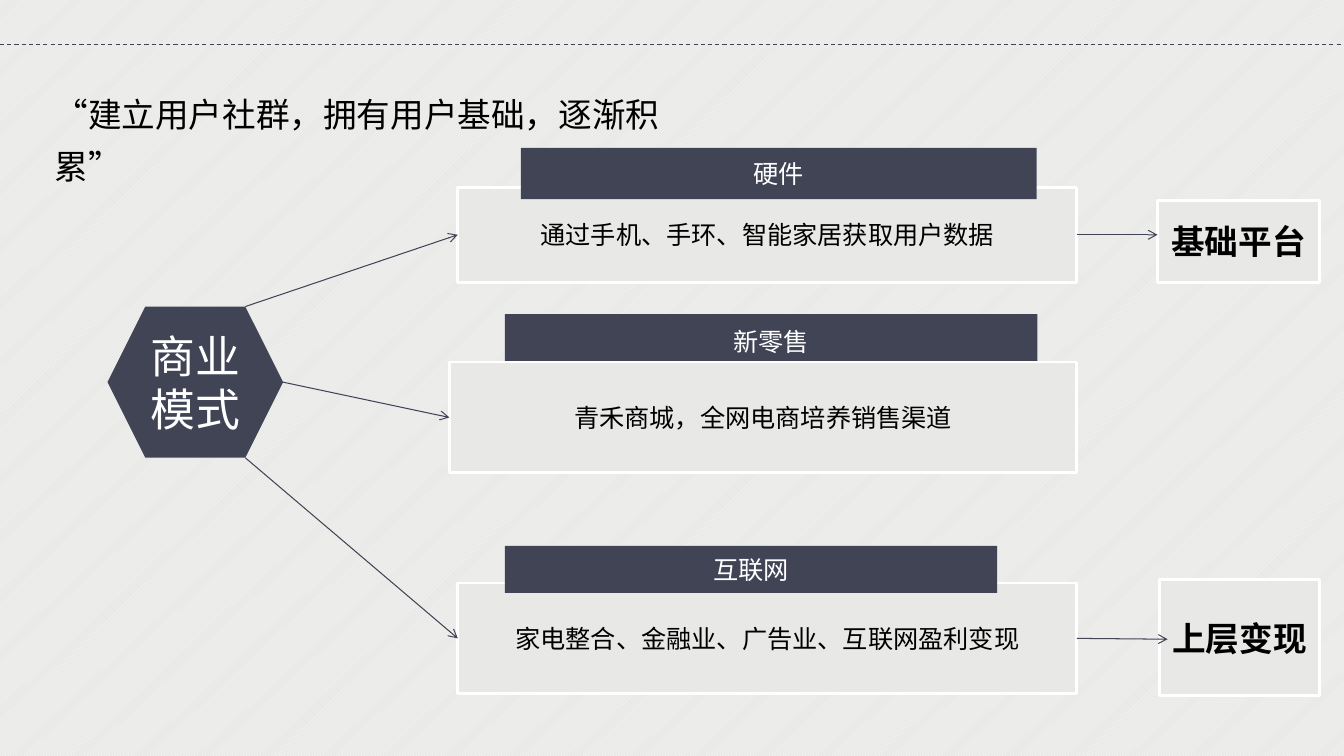
from dataclasses import dataclass

from lxml import etree
from pptx import Presentation
from pptx.dml.color import RGBColor
from pptx.enum.dml import MSO_LINE, MSO_PATTERN
from pptx.enum.shapes import MSO_CONNECTOR, MSO_SHAPE
from pptx.enum.text import MSO_ANCHOR, PP_ALIGN
from pptx.oxml.ns import qn
from pptx.util import Inches, Pt

RECT, HEXAGON = MSO_SHAPE.RECTANGLE, MSO_SHAPE.HEXAGON
STRAIGHT = MSO_CONNECTOR.STRAIGHT
DASH = MSO_LINE.DASH
STRIPES = MSO_PATTERN.LIGHT_UPWARD_DIAGONAL
MIDDLE, CENTER, LEFT = MSO_ANCHOR.MIDDLE, PP_ALIGN.CENTER, PP_ALIGN.LEFT
LEFT_SIDE, RIGHT_SIDE = 1, 3
COLS, ROWS = 160, 90
WIDTH, HEIGHT = Inches(13.33), Inches(7.5)


@dataclass(frozen=True)
class Theme:
    dark: RGBColor = RGBColor(0x41, 0x44, 0x55)
    pale: RGBColor = RGBColor(0xE8, 0xE8, 0xE6)
    white: RGBColor = RGBColor(0xFF, 0xFF, 0xFF)
    black: RGBColor = RGBColor(0, 0, 0)
    latin: str = "Arial"
    hans: str = "Noto Sans CJK SC"
    body: int = 18
    title: int = 24
    hub: int = 32
    edge: float = 2
    thin: float = 0.75


THEME = Theme()


def col(n):
    return round(WIDTH * n / COLS)


def row(n):
    return round(HEIGHT * n / ROWS)


def place(box):
    x, y, w, h = box
    return col(x), row(y), col(w), row(h)


def write(shape, text, size, face, color, align=CENTER, bold=False):
    frame = shape.text_frame
    frame.word_wrap = True
    para = frame.paragraphs[0]
    para.text = text
    para.alignment = align
    font = para.font
    font.size, font.name, font.bold = Pt(size), face, bold
    font.color.rgb = color
    return para


def block(slide, kind, box, fill, edge=None):
    shape = slide.shapes.add_shape(kind, *place(box))
    shape.shadow.inherit = False
    shape.fill.solid()
    shape.fill.fore_color.rgb = fill
    if edge is None:
        shape.line.fill.background()
    else:
        shape.line.color.rgb = edge
        shape.line.width = Pt(THEME.edge)
    shape.text_frame.vertical_anchor = MIDDLE
    return shape


def stroke(slide, start, end, arrow=True):
    line = slide.shapes.add_connector(
        STRAIGHT, col(start[0]), row(start[1]), col(end[0]), row(end[1]))
    line.line.color.rgb = THEME.dark
    line.line.width = Pt(THEME.thin)
    props = line._element.spPr
    if arrow:
        etree.SubElement(props.find(qn("a:ln")), qn("a:tailEnd"), type="arrow")
    else:
        line.line.dash_style = DASH
    etree.SubElement(props, qn("a:effectLst"))
    return line


def title(slide, box, text):
    shape = slide.shapes.add_textbox(*place(box))
    para = write(shape, text, THEME.title, THEME.hans, THEME.black, LEFT)
    para.line_spacing = 1.3


def hub(slide, box, text):
    shape = block(slide, HEXAGON, box, THEME.dark)
    write(shape, text, THEME.hub, THEME.hans, THEME.white)
    x, y, w, h = box
    slant = h / 4
    return (x + w - slant, y), (x + w, y + h / 2), (x + w - slant, y + h)


def tab(slide, box, inset, text):
    dx, dy, w, h = inset
    shape = block(slide, RECT, (box[0] + dx, box[1] + dy, w, h), THEME.dark)
    write(shape, text, THEME.body, THEME.hans, THEME.white)


def card(slide, box, text):
    shape = block(slide, RECT, box, THEME.pale, THEME.white)
    write(shape, text, THEME.body, THEME.latin, THEME.black)
    return shape


def branch(slide, start, box, inset, head, text, front=True):
    if not front:
        tab(slide, box, inset, head)
    shape = card(slide, box, text)
    if front:
        tab(slide, box, inset, head)
    line = stroke(slide, start, (box[0], box[1] + box[3] / 2))
    line.end_connect(shape, LEFT_SIDE)
    return shape


def result(slide, source, start, tip, box, text):
    shape = block(slide, RECT, box, THEME.pale, THEME.white)
    write(shape, text, THEME.title, THEME.latin, THEME.black, bold=True)
    line = stroke(slide, start, tip)
    line.begin_connect(source, RIGHT_SIDE)


def model(slide):
    fill = slide.background.fill
    fill.patterned()
    fill.pattern = STRIPES
    fill.fore_color.rgb = THEME.white
    fill.back_color.rgb = THEME.pale

    stroke(slide, (0, 5.3), (COLS, 5.3), arrow=False)
    title(slide, (5.3, 9.1, 77.5, 7.4), "“建立用户社群，拥有用户基础，逐渐积累”")
    upper, middle, lower = hub(slide, (12.8, 36.5, 20.9, 18), "商业模式")

    device = branch(slide, upper, (54.5, 22.3, 73.7, 11.3), (7.5, -4.7, 61.4, 6.1),
                    "硬件", "通过手机、手环、智能家居获取用户数据")
    branch(slide, middle, (53.5, 43.1, 74.7, 13.2), (6.6, -5.7, 63.4, 6.6),
           "新零售", "青禾商城，全网电商培养销售渠道", front=False)
    online = branch(slide, lower, (54.5, 69.4, 73.7, 13.2), (5.6, -4.4, 58.6, 5.6),
                    "互联网", "家电整合、金融业、广告业、互联网盈利变现")

    result(slide, device, (128.2, 27.95), (137.8, 27.95),
           (137.8, 23.9, 19.3, 9.7), "基础平台")
    result(slide, online, (128.2, 76), (139, 76.1),
           (138, 69, 19.1, 13.8), "上层变现")


def main():
    deck = Presentation()
    deck.slide_width, deck.slide_height = WIDTH, HEIGHT
    model(deck.slides.add_slide(deck.slide_layouts[6]))
    deck.save("out.pptx")


if __name__ == "__main__":
    main()
